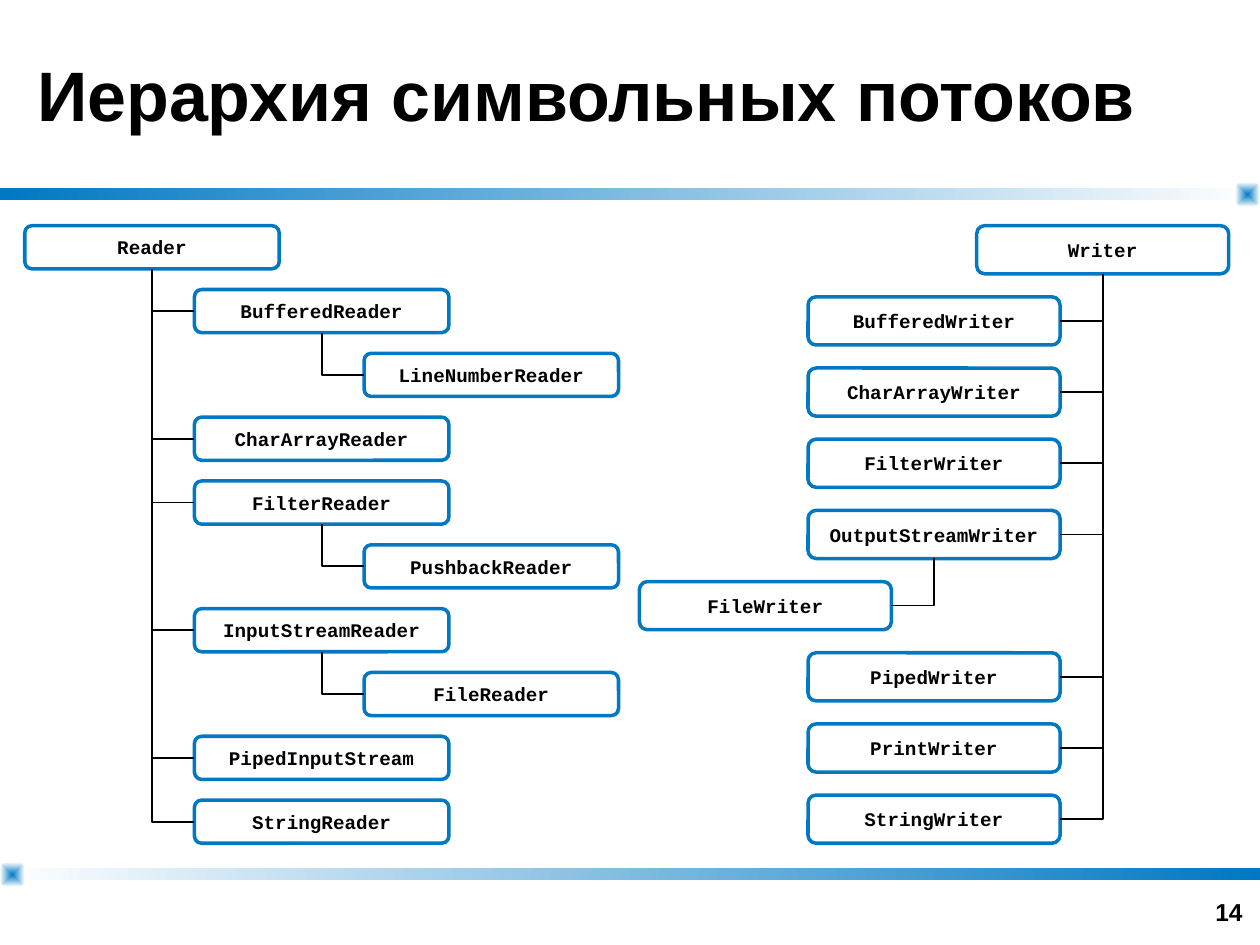
from pptx import Presentation
from pptx.dml.color import RGBColor
from pptx.enum.shapes import MSO_CONNECTOR, MSO_SHAPE
from pptx.enum.text import MSO_ANCHOR, PP_ALIGN
from pptx.oxml import parse_xml
from pptx.oxml.ns import nsdecls, qn
from pptx.util import Cm, Pt
from lxml.etree import SubElement

BLUE = RGBColor(0x00, 0x78, 0xC3)
WHITE = RGBColor(0xFF, 0xFF, 0xFF)
BLACK = RGBColor(0x00, 0x00, 0x00)

# Content: each class with its depth in the hierarchy, one per row
TITLE = "Иерархия символьных потоков"
PAGE = "14"
READERS = [
    ("Reader", 0),
    ("BufferedReader", 1),
    ("LineNumberReader", 2),
    ("CharArrayReader", 1),
    ("FilterReader", 1),
    ("PushbackReader", 2),
    ("InputStreamReader", 1),
    ("FileReader", 2),
    ("PipedInputStream", 1),
    ("StringReader", 1),
]
WRITERS = [
    ("Writer", 0),
    ("BufferedWriter", 1),
    ("CharArrayWriter", 1),
    ("FilterWriter", 1),
    ("OutputStreamWriter", 1),
    ("FileWriter", 2),
    ("PipedWriter", 1),
    ("PrintWriter", 1),
    ("StringWriter", 1),
]
# Lengths in cm; a negative indent grows to the left
TREES = [
    dict(nodes=READERS, left=0.5, indent=3.42, width=5.13, height=0.87, last=16.13),
    dict(nodes=WRITERS, left=19.69, indent=-3.4, width=5.08, height=0.97, last=16.03),
]
TREE_TOP = 4.55
LEFT_SIDE, BOTTOM_SIDE, RIGHT_SIDE = 1, 2, 3


def write(s, text, font, size, align, anchor):
    tf = s.text_frame
    tf.text = text
    tf.vertical_anchor = anchor
    p = tf.paragraphs[0]
    p.alignment = align
    f = p.runs[0].font
    f.name, f.size, f.bold = font, Pt(size), True
    f.color.rgb = BLACK


def add_label(shapes, box, text, size, align, anchor):
    s = shapes.add_textbox(*map(Cm, box))
    s.text_frame.word_wrap = True
    write(s, text, "Arial", size, align, anchor)


def add_gradient(shapes, kind, box, start, end):
    s = shapes.add_shape(kind, *map(Cm, box))
    s.shadow.inherit = False
    s.line.fill.background()
    s.fill.gradient()
    s.fill.gradient_angle = 0
    for stop, color in zip(s.fill.gradient_stops, (start, end)):
        stop.color.rgb = color
    return s


def add_bar(shapes, top, start, end, square_left):
    add_gradient(shapes, MSO_SHAPE.RECTANGLE, (0, top, 25.4, 0.25), start, end)
    s = add_gradient(shapes, MSO_SHAPE.ROUNDED_RECTANGLE,
                     (square_left, top - 0.12, 0.5, 0.5), BLUE, WHITE)
    s.adjustments[0] = 0.32
    # Gradient spreading from the centre of the square
    grad = s._element.spPr.find(qn("a:gradFill"))
    grad.replace(grad.find(qn("a:lin")), parse_xml(
        f'<a:path {nsdecls("a")} path="rect">'
        '<a:fillToRect l="50000" t="50000" r="50000" b="50000"/></a:path>'))


def add_node(shapes, name, box):
    s = shapes.add_shape(MSO_SHAPE.ROUNDED_RECTANGLE, *map(Cm, box))
    s.shadow.inherit = False
    s.fill.background()
    s.line.color.rgb = BLUE
    s.line.width = Pt(2)
    tf = s.text_frame
    tf.margin_left = tf.margin_right = tf.margin_top = tf.margin_bottom = 0
    tf.word_wrap = False
    write(s, name, "Courier New", 11, PP_ALIGN.CENTER, MSO_ANCHOR.MIDDLE)
    return s


def add_link(shapes, child, side, parent):
    c = shapes.add_connector(MSO_CONNECTOR.ELBOW, 0, 0, 0, 0)
    c.begin_connect(child, side)
    c.end_connect(parent, BOTTOM_SIDE)
    c.line.color.rgb = BLACK
    c.line.width = Pt(1)
    spPr = c._element.spPr
    spPr.find(qn("a:prstGeom")).set("prst", "bentConnector2")  # single bend
    SubElement(spPr, qn("a:effectLst"))


def add_tree(slide, nodes, left, indent, width, height, last):
    shapes = slide.shapes.add_group_shape().shapes
    pitch = (last - TREE_TOP) / (len(nodes) - 1)
    side = LEFT_SIDE if indent > 0 else RIGHT_SIDE
    latest = {}  # most recent box at each depth
    for row, (name, depth) in enumerate(nodes):
        box = (left + depth * indent, TREE_TOP + row * pitch, width, height)
        latest[depth] = add_node(shapes, name, box)
        if depth:
            add_link(shapes, latest[depth], side, latest[depth - 1])


def main():
    prs = Presentation()
    prs.slide_width, prs.slide_height = Cm(25.4), Cm(19.05)
    slide = prs.slides.add_slide(prs.slide_layouts[6])
    shapes = slide.shapes

    # Bars above and below the diagram
    add_bar(shapes, 3.79, BLUE, WHITE, square_left=24.9)
    add_bar(shapes, 17.5, WHITE, BLUE, square_left=0)

    # Page number and title
    add_label(shapes, (19.38, 17.53, 5.92, 1.27), PAGE, 14,
              PP_ALIGN.RIGHT, MSO_ANCHOR.BOTTOM)
    add_label(shapes, (0.5, 0, 24.4, 3.79), TITLE, 40,
              PP_ALIGN.LEFT, MSO_ANCHOR.MIDDLE)

    # Class hierarchies
    for tree in TREES:
        add_tree(slide, **tree)

    prs.save("out.pptx")


if __name__ == "__main__":
    main()
